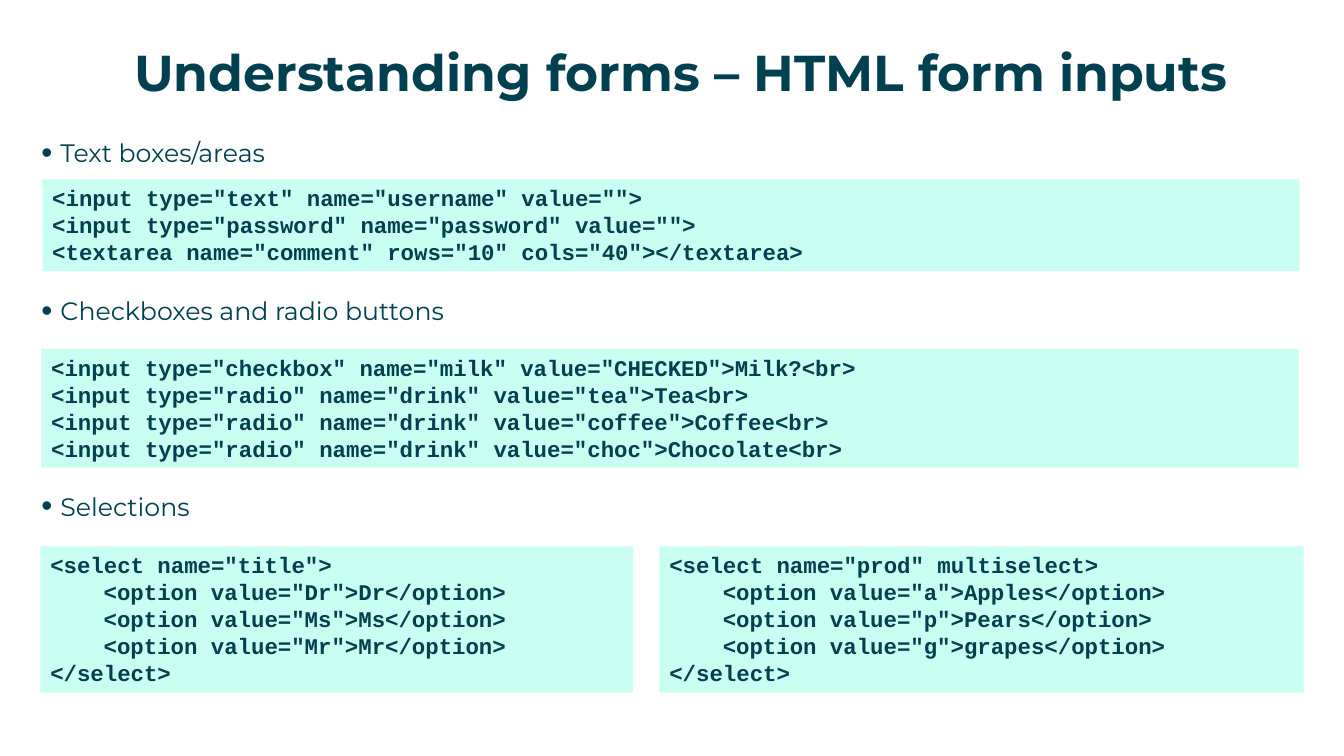
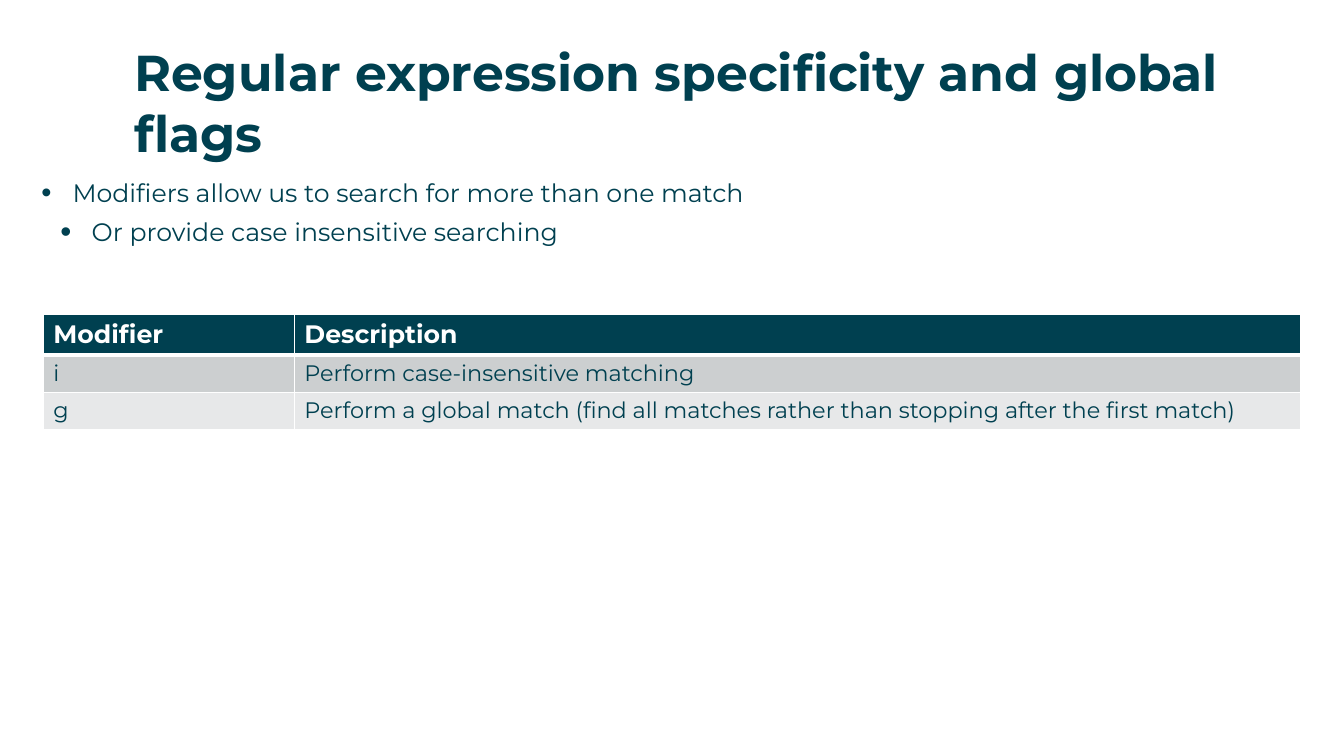
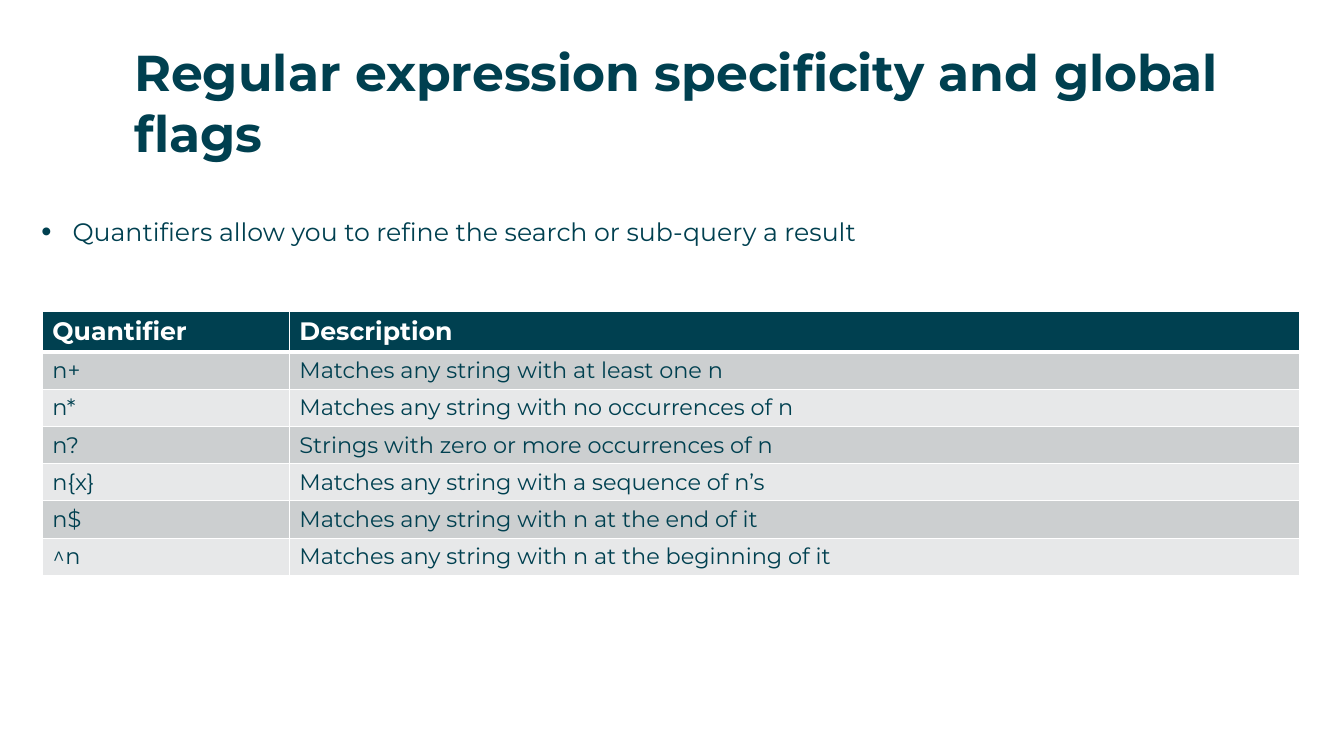
from lxml import etree
from pptx import Presentation
from pptx.dml.color import RGBColor
from pptx.enum.shapes import MSO_SHAPE as SHAPE
from pptx.enum.text import MSO_ANCHOR as ANCHOR, PP_ALIGN as ALIGN
from pptx.oxml.ns import qn
from pptx.util import Inches, Pt

INK, WHITE, MINT = "004050", "FFFFFF", "C8FFF2"
BANDS = ("CCCFD0", "E7E8E9")
SANS, MONO = "Montserrat", "Courier New"
LEFT = 0.41
BODY_WIDTH = 12.5
BULLET_PITCH = 0.395
CODE_LINE = 0.27


def rgb(value):
    return RGBColor.from_string(value)


class Deck:
    """Holds the shared style and the slide being filled."""

    def __init__(self):
        self.prs = Presentation()
        self.prs.slide_width = Inches(13.33)
        self.prs.slide_height = Inches(7.5)
        self.s = None

    def new_slide(self, title):
        self.s = self.prs.slides.add_slide(self.prs.slide_layouts[6])
        tf = self.text_box(1.33, 0.41, 11.59, 0.57)
        tf.text = title
        self.style(tf.paragraphs[0], 36, bold=True)

    def style(self, p, size, font=SANS, color=INK, bold=False):
        for r in p.runs:
            r.font.name, r.font.size, r.font.bold = font, Pt(size), bold
            r.font.color.rgb = rgb(color)

    def text_box(self, x, y, w, h):
        box = self.s.shapes.add_textbox(Inches(x), Inches(y), Inches(w), Inches(h))
        tf = box.text_frame
        tf.word_wrap = True
        tf.margin_left = tf.margin_right = tf.margin_top = tf.margin_bottom = 0
        return tf

    def indent(self, p, margin, first=0.0):
        pPr = p._p.get_or_add_pPr()
        pPr.set("marL", str(Inches(margin)))
        pPr.set("indent", str(Inches(first)))
        return pPr

    def bullets(self, y, items, hang):
        """Draw a list; each item is (text, left margin, bullet size in percent)."""
        tf = self.text_box(LEFT, y, BODY_WIDTH, BULLET_PITCH * len(items))
        tf.text = "\n".join(text for text, _, _ in items)
        for p, (_, margin, percent) in zip(tf.paragraphs, items):
            p.space_after = Pt(6.5)
            pPr = self.indent(p, margin, -hang)
            etree.SubElement(pPr, qn("a:buSzPct"), val=str(percent * 1000))
            etree.SubElement(pPr, qn("a:buFont"), typeface="Arial")
            etree.SubElement(pPr, qn("a:buChar"), char="•")
            self.style(p, 18)

    def code(self, x, y, w, lines, indented=()):
        """Draw a code panel; line numbers in indented are set in by four characters."""
        sp = self.s.shapes.add_shape(SHAPE.RECTANGLE, Inches(x), Inches(y), Inches(w),
                                     Inches(CODE_LINE * len(lines) + 0.1))
        sp.shadow.inherit = False
        sp.fill.solid()
        sp.fill.fore_color.rgb = rgb(MINT)
        sp.line.fill.background()
        tf = sp.text_frame
        tf.word_wrap = True
        tf.vertical_anchor = ANCHOR.TOP
        tf.text = "\n".join(lines)
        for i, p in enumerate(tf.paragraphs):
            p.alignment = ALIGN.LEFT
            p.line_spacing = Pt(19.3)
            if i in indented:
                self.indent(p, 0.53)
            self.style(p, 16, MONO, bold=True)

    def borders(self, cell, top, bottom):
        """Set white cell borders, with top and bottom widths in points."""
        tcPr = cell._tc.get_or_add_tcPr()
        for side, width in (("L", 1), ("R", 1), ("T", top), ("B", bottom)):
            ln = etree.SubElement(tcPr, qn(f"a:ln{side}"), w=str(Pt(width)))
            fill = etree.SubElement(ln, qn("a:solidFill"))
            etree.SubElement(fill, qn("a:srgbClr"), val=WHITE)

    def table(self, x, y, widths, rows):
        heights = [0.39] + [0.37] * (len(rows) - 1)
        frame = self.s.shapes.add_table(len(rows), len(widths), Inches(x), Inches(y),
                                        Inches(sum(widths)), Inches(sum(heights)))
        table = frame.table
        for column, width in zip(table.columns, widths):
            column.width = Inches(width)
        for i, row in enumerate(rows):
            table.rows[i].height = Inches(heights[i])
            header = i == 0
            for j, text in enumerate(row):
                cell = table.cell(i, j)
                cell.text = text
                self.borders(cell, 3 if i == 1 else 1, 3 if header else 1)
                cell.fill.solid()
                cell.fill.fore_color.rgb = rgb(INK if header else BANDS[(i - 1) % 2])
                self.style(cell.text_frame.paragraphs[0], 18 if header else 16,
                           color=WHITE if header else INK, bold=header)


def form_inputs(deck):
    deck.new_slide("Understanding forms – HTML form inputs")
    for y, text in ((1.36, "Text boxes/areas"),
                    (2.93, "Checkboxes and radio buttons"),
                    (4.87, "Selections")):
        deck.bullets(y, [(text, 0.19, 125)], 0.19)
    deck.code(0.42, 1.78, 12.47, [
        '<input type="text" name="username" value="">',
        '<input type="password" name="password" value="">',
        '<textarea name="comment" rows="10" cols="40"></textarea>',
    ])
    deck.code(0.41, 3.46, 12.47, [
        '<input type="checkbox" name="milk" value="CHECKED">Milk?<br>',
        '<input type="radio" name="drink" value="tea">Tea<br>',
        '<input type="radio" name="drink" value="coffee">Coffee<br>',
        '<input type="radio" name="drink" value="choc">Chocolate<br>',
    ])
    selections = (
        (0.4, 5.88, 'name="title"', (("Dr", "Dr"), ("Ms", "Ms"), ("Mr", "Mr"))),
        (6.54, 6.39, 'name="prod" multiselect',
         (("a", "Apples"), ("p", "Pears"), ("g", "grapes"))),
    )
    for x, width, attributes, options in selections:
        lines = [f'<option value="{value}">{label}</option>' for value, label in options]
        deck.code(x, 5.42, width, [f"<select {attributes}>", *lines, "</select>"],
                  indented=range(1, len(lines) + 1))


def modifiers(deck, title):
    deck.new_slide(title)
    deck.bullets(1.76, [
        ("Modifiers allow us to search for more than one match", 0.31, 115),
        ("Or provide case insensitive searching", 0.5, 125),
    ], 0.31)
    deck.table(0.43, 3.12, (2.49, 9.98), [
        ("Modifier", "Description"),
        ("i", "Perform case-insensitive matching"),
        ("g", "Perform a global match (find all matches rather than stopping "
              "after the first match)"),
    ])


def quantifiers(deck, title):
    deck.new_slide(title)
    deck.bullets(2.15, [
        ("Quantifiers allow you to refine the search or sub-query a result", 0.31, 115),
    ], 0.31)
    deck.table(0.42, 3.09, (2.45, 10.02), [
        ("Quantifier", "Description"),
        ("n+", "Matches any string with at least one n"),
        ("n*", "Matches any string with no occurrences of n"),
        ("n?", "Strings with zero or more occurrences of n"),
        ("n{x}", "Matches any string with a sequence of n’s"),
        ("n$", "Matches any string with n at the end of it"),
        ("^n", "Matches any string with n at the beginning of it"),
    ])


def main():
    deck = Deck()
    regex_title = "Regular expression specificity and global flags"
    form_inputs(deck)
    modifiers(deck, regex_title)
    quantifiers(deck, regex_title)
    deck.prs.save("out.pptx")


if __name__ == "__main__":
    main()
